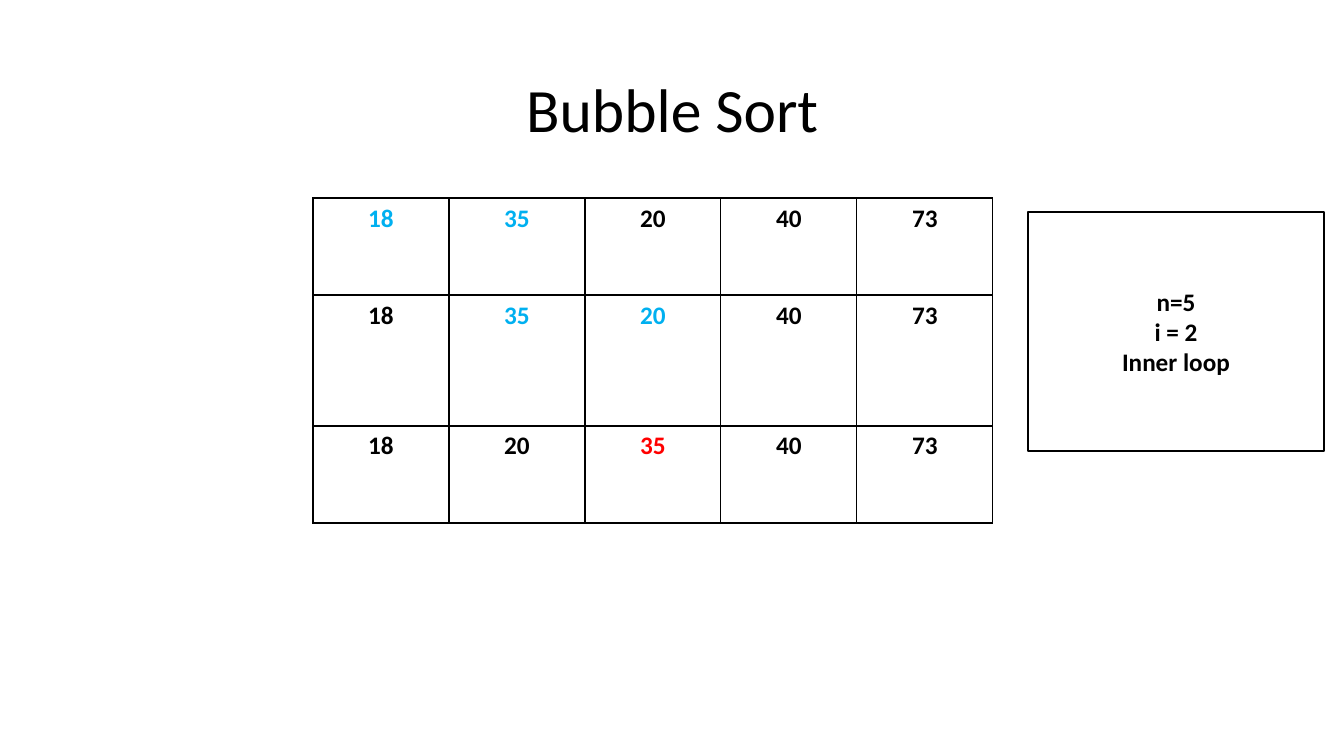
"""Build the Bubble Sort slide with its pass table and loop state box."""
from lxml import etree
from pptx import Presentation
from pptx.dml.color import RGBColor
from pptx.enum import shapes, text
from pptx.oxml import ns
from pptx.util import Pt

TITLE = "Bubble Sort"
STEPS = [
    [(18, "compared"), (35, "compared"), (20, "ink"), (40, "ink"), (73, "ink")],
    [(18, "ink"), (35, "compared"), (20, "compared"), (40, "ink"), (73, "ink")],
    [(18, "ink"), (20, "ink"), (35, "swapped"), (40, "ink"), (73, "ink")],
]
LOOP_STATE = ["n=5", "i = 2", "Inner loop"]

COLORS = {"ink": "000000", "paper": "FFFFFF", "compared": "00B0F0", "swapped": "FF0000"}
FONT = "Calibri"
SLIDE_SIZE = (1344, 756)
TITLE_BOX = (93, 40, 1159, 146)
TABLE_ORIGIN = (313, 198)
COLUMN_WIDTH = 136
ROW_HEIGHTS = [97, 131, 97]
STATE_BOX = (1028, 212, 296, 239)
EMU_PER_PX = 914400 / 100.8


def px(*lengths):
    return [round(length * EMU_PER_PX) for length in lengths]


def color(name):
    return RGBColor.from_string(COLORS[name])


def write(frame, lines, size=18, ink="ink", bold=True, spacing=None):
    frame.word_wrap = True
    for index, line in enumerate(lines):
        paragraph = frame.paragraphs[0] if index == 0 else frame.add_paragraph()
        paragraph.alignment = text.PP_ALIGN.CENTER
        if spacing:
            paragraph.line_spacing = spacing
        run = paragraph.add_run()
        run.text = line
        run.font.name = FONT
        run.font.size = Pt(size)
        run.font.bold = bold
        run.font.color.rgb = color(ink)


def add_borders(cell):
    properties = cell._tc.get_or_add_tcPr()
    for side in ("a:lnL", "a:lnR", "a:lnT", "a:lnB"):
        border = etree.SubElement(properties, ns.qn(side), w=str(Pt(1)))
        fill = etree.SubElement(border, ns.qn("a:solidFill"))
        etree.SubElement(fill, ns.qn("a:srgbClr"), val=COLORS["ink"])


def add_steps_table(slide):
    columns = len(STEPS[0])
    size = (COLUMN_WIDTH * columns, sum(ROW_HEIGHTS))
    table = slide.shapes.add_table(len(STEPS), columns, *px(*TABLE_ORIGIN, *size)).table
    table.first_row = table.horz_banding = False
    for column in table.columns:
        column.width = px(COLUMN_WIDTH)[0]
    for row, height in zip(table.rows, px(*ROW_HEIGHTS)):
        row.height = height
    for row, step in enumerate(STEPS):
        for column, (value, ink) in enumerate(step):
            cell = table.cell(row, column)
            add_borders(cell)
            cell.fill.background()
            write(cell.text_frame, [str(value)], ink=ink)


def add_state_box(slide):
    box = slide.shapes.add_shape(shapes.MSO_SHAPE.RECTANGLE, *px(*STATE_BOX))
    box.shadow.inherit = False
    box.fill.solid()
    box.fill.fore_color.rgb = color("paper")
    box.line.color.rgb = color("ink")
    box.line.width = Pt(1)
    box.text_frame.vertical_anchor = text.MSO_ANCHOR.MIDDLE
    write(box.text_frame, LOOP_STATE)


def main():
    presentation = Presentation()
    presentation.slide_width, presentation.slide_height = px(*SLIDE_SIZE)
    slide = presentation.slides.add_slide(presentation.slide_layouts[5])
    title = slide.shapes.title
    title.left, title.top, title.width, title.height = px(*TITLE_BOX)
    title.text_frame.vertical_anchor = text.MSO_ANCHOR.MIDDLE
    write(title.text_frame, [TITLE], size=44, bold=False, spacing=0.9)
    add_steps_table(slide)
    add_state_box(slide)
    presentation.save("out.pptx")


if __name__ == "__main__":
    main()
